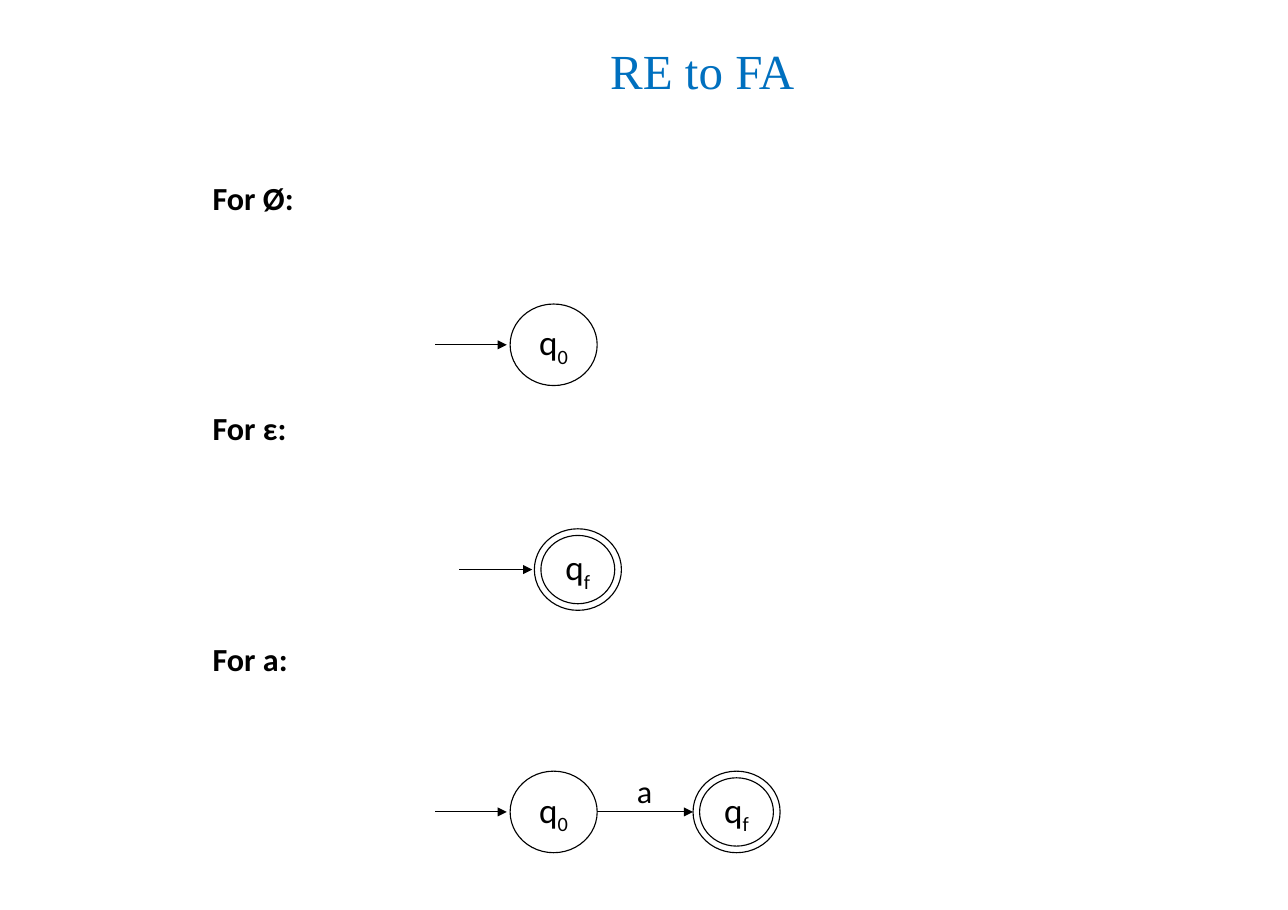
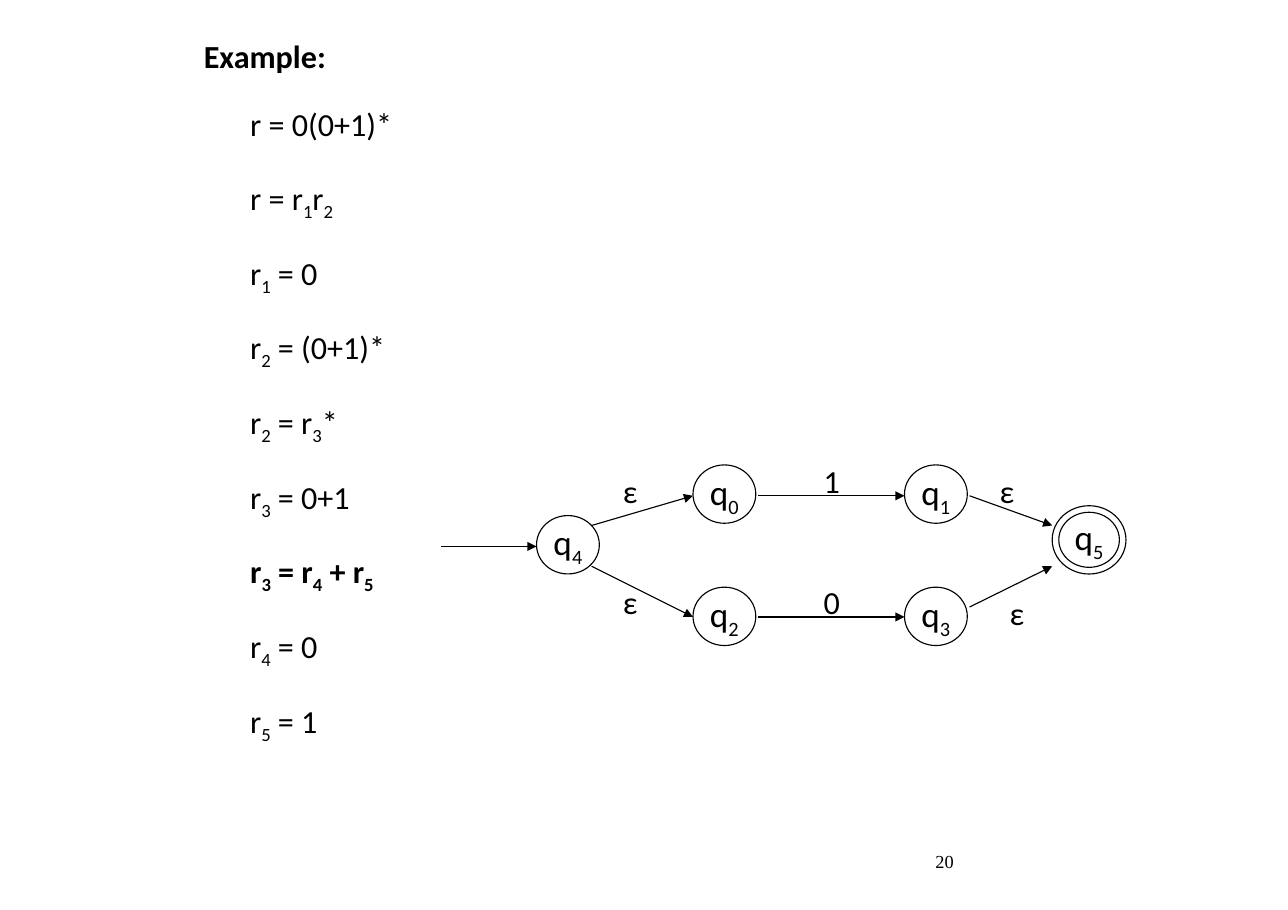
from pptx import Presentation
from pptx import util as u
from pptx.dml.color import RGBColor
from pptx.enum import shapes, text
from pptx.oxml.ns import qn
from lxml import etree

BLACK, BLUE = "000000", "0070BF"
LABEL = dict(name="Calibri", size=21, color=BLACK, bold=False)
HEADING = dict(LABEL, bold=True)
STATE = dict(LABEL, size=23)
MAIN_TITLE = dict(name="Times New Roman", size=32, color=BLUE, bold=False)
PAGE_NUMBER = dict(MAIN_TITLE, size=12, color=BLACK)
LEFT, CENTER = text.PP_ALIGN.LEFT, text.PP_ALIGN.CENTER
RING_GAP = 0.06

SLIDES = [
    dict(
        title=dict(words="RE to FA", at=(1.93, 0.37, 8.89, 0.51), look=MAIN_TITLE, align=CENTER),
        body=dict(rows=[("For Ø:", HEADING), ("For ε:", HEADING), ("For a:", HEADING)],
                  at=(1.93, 1.62, 8.89, 4.6), spacing=1.0, gap=125.3),
        state_size=(0.79, 0.74),
        final_size=(0.79, 0.74),
        states=[("q_0", 4.63, 2.76), ("q_0", 4.63, 7)],
        finals=[("q_f", 4.85, 4.8), ("q_f", 6.29, 7)],
        arrows=[(3.95, 3.13, 4.6, 3.13), (4.17, 5.17, 4.83, 5.17),
                (3.95, 7.37, 4.6, 7.37), (5.42, 7.37, 6.29, 7.37)],
        labels=[("a", 5.85, 7.18)],
    ),
    dict(
        title=dict(words="Example:", at=(1.85, 0.37, 8.97, 0.4), look=HEADING, align=LEFT),
        body=dict(rows=[("r = 0(0+1)*", LABEL), ("r = r_1r_2", LABEL), ("r_1 = 0", LABEL),
                        ("r_2 = (0+1)*", LABEL), ("r_2 = r_3*", LABEL), ("r_3 = 0+1", LABEL),
                        ("r_3 = r_4 + r_5", HEADING), ("r_4 = 0", LABEL), ("r_5 = 1", LABEL)],
                  at=(2.27, 0.99, 2.2, 6), spacing=0.9, gap=23),
        state_size=(0.57, 0.53),
        final_size=(0.67, 0.62),
        states=[("q_4", 4.87, 4.68), ("q_0", 6.29, 4.22), ("q_1", 8.21, 4.22),
                ("q_2", 6.29, 5.33), ("q_3", 8.21, 5.33)],
        finals=[("q_5", 9.55, 4.59)],
        arrows=[(4, 4.96, 4.87, 4.96), (5.37, 4.77, 6.29, 4.5), (5.37, 5.14, 6.29, 5.6),
                (6.88, 4.5, 8.21, 4.5), (6.88, 5.6, 8.21, 5.6),
                (8.8, 4.5, 9.55, 4.77), (8.8, 5.51, 9.55, 5.14)],
        labels=[("ε", 5.72, 4.45), ("ε", 5.72, 5.46), ("1", 7.55, 4.36),
                ("0", 7.55, 5.46), ("ε", 9.14, 4.45), ("ε", 9.23, 5.56)],
        number="20",
    ),
]


def rgb(value):
    return RGBColor.from_string(value)


def inches(*values):
    return [u.Inches(value) for value in values]


def apply(target, formats):
    for name, value in formats.items():
        setattr(target, name, value)


def set_frame(frame, anchor=text.MSO_ANCHOR.TOP, wrap=True):
    apply(frame, dict(margin_left=0, margin_right=0, margin_top=0, margin_bottom=0,
                      auto_size=text.MSO_AUTO_SIZE.NONE, word_wrap=wrap,
                      vertical_anchor=anchor))


def write(para, words, look, **formats):
    apply(para, formats)
    plain, *rest = words.split("_")
    pieces = [(plain, False)]
    for part in rest:
        pieces += [(part[0], True), (part[1:], False)]
    for piece, lowered in pieces:
        if not piece:
            continue
        span = para.add_run()
        span.text = piece
        apply(span.font, dict(name=look["name"], size=u.Pt(look["size"]), bold=look["bold"]))
        span.font.color.rgb = rgb(look["color"])
        if lowered:
            span._r.get_or_add_rPr().set("baseline", "-25000")


def place(shape, at):
    apply(shape, dict(zip(("left", "top", "width", "height"), inches(*at))))


def fill_title(shape, words, at, look, align):
    place(shape, at)
    set_frame(shape.text_frame)
    write(shape.text_frame.paragraphs[0], words, look, alignment=align, line_spacing=0.9
          if look is HEADING else 1.0)


def fill_body(shape, rows, at, spacing, gap):
    place(shape, at)
    frame = shape.text_frame
    set_frame(frame)
    for index, (words, look) in enumerate(rows):
        para = frame.add_paragraph() if index else frame.paragraphs[0]
        write(para, words, look, alignment=LEFT, line_spacing=spacing,
              space_before=u.Pt(0), space_after=u.Pt(gap))
        props = para._p.get_or_add_pPr()
        apply_xml = {"marL": "0", "indent": "0"}
        for name, value in apply_xml.items():
            props.set(name, value)
        etree.SubElement(props, qn("a:buNone"))


def add_circle(page, at, words=""):
    circle = page.shapes.add_shape(shapes.MSO_SHAPE.OVAL, *inches(*at))
    circle.shadow.inherit = False
    circle.fill.background()
    circle.line.color.rgb = rgb(BLACK)
    circle.line.width = u.Pt(0.75)
    if words:
        set_frame(circle.text_frame, text.MSO_ANCHOR.MIDDLE, False)
        write(circle.text_frame.paragraphs[0], words, STATE, alignment=CENTER)


def add_final(page, words, left, top, width, height):
    add_circle(page, (left + RING_GAP, top + RING_GAP,
                      width - 2 * RING_GAP, height - 2 * RING_GAP), words)
    add_circle(page, (left, top, width, height))


def add_arrow(page, ends):
    arrow = page.shapes.add_connector(shapes.MSO_CONNECTOR.STRAIGHT, *inches(*ends))
    arrow.line.color.rgb = rgb(BLACK)
    arrow.line.width = u.Pt(0.75)
    etree.SubElement(arrow.line._get_or_add_ln(), qn("a:tailEnd"), type="triangle")
    etree.SubElement(arrow._element.spPr, qn("a:effectLst"))


def add_label(page, words, center_x, center_y, width=0.35, height=0.36):
    box = page.shapes.add_textbox(
        *inches(center_x - width / 2, center_y - height / 2, width, height))
    set_frame(box.text_frame, text.MSO_ANCHOR.MIDDLE)
    write(box.text_frame.paragraphs[0], words, LABEL, alignment=CENTER)


def add_number(page, words):
    box = page.shapes.add_textbox(*inches(8.49, 7.72, 2.5, 0.3))
    set_frame(box.text_frame)
    write(box.text_frame.paragraphs[0], words, PAGE_NUMBER)


def build_slide(deck, content):
    page = deck.slides.add_slide(deck.slide_layouts[1])
    fill_title(page.shapes.title, **content["title"])
    fill_body(page.placeholders[1], **content["body"])
    for words, left, top in content["states"]:
        add_circle(page, (left, top, *content["state_size"]), words)
    for words, left, top in content["finals"]:
        add_final(page, words, left, top, *content["final_size"])
    for ends in content["arrows"]:
        add_arrow(page, ends)
    for label in content["labels"]:
        add_label(page, *label)
    if "number" in content:
        add_number(page, content["number"])


def main():
    deck = Presentation()
    deck.slide_width, deck.slide_height = inches(11.69, 8.26)
    for content in SLIDES:
        build_slide(deck, content)
    deck.save("out.pptx")


if __name__ == "__main__":
    main()
